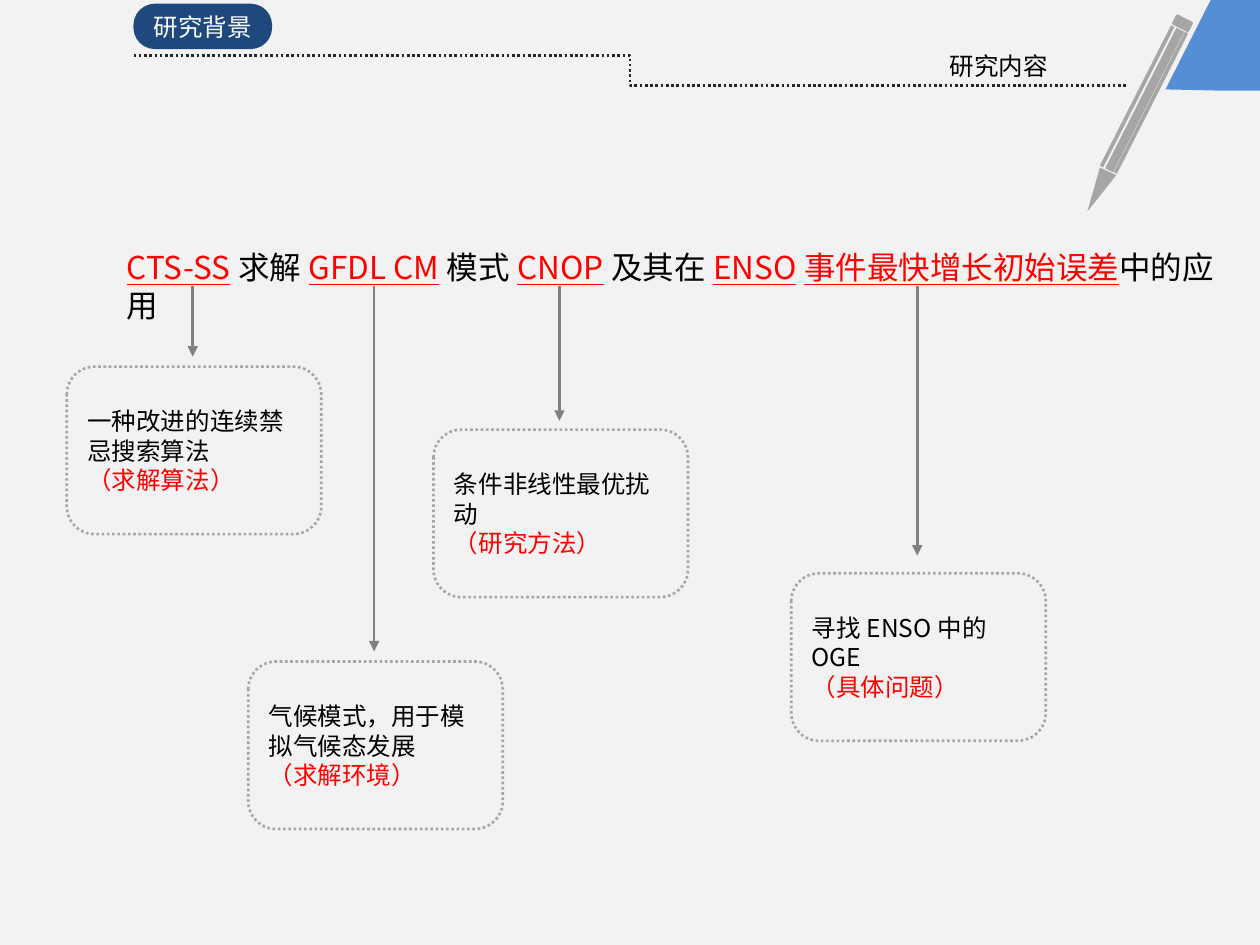
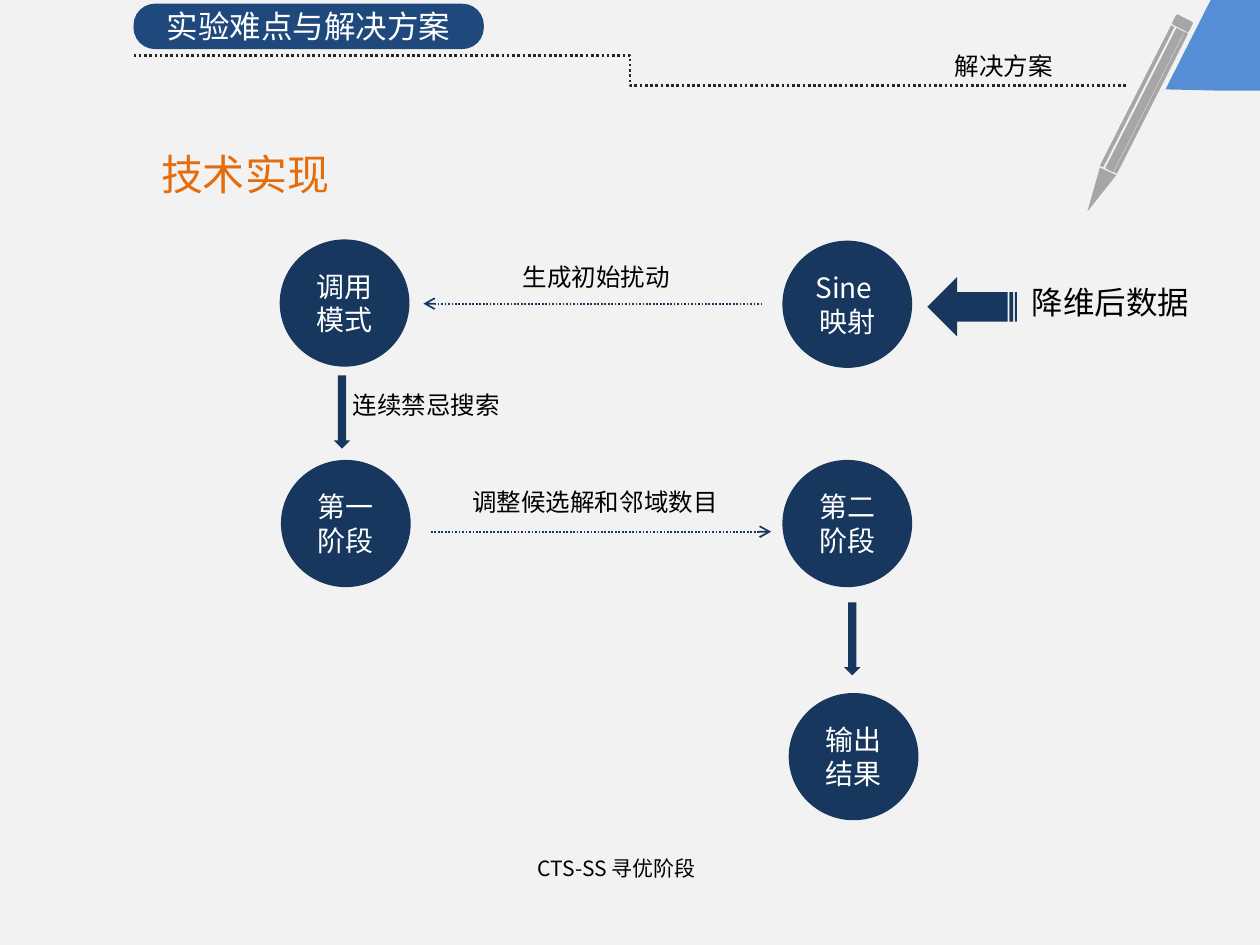
from lxml import etree
from pptx import Presentation
from pptx import util as u
from pptx.dml.color import RGBColor
from pptx.enum import dml, shapes, text
from pptx.oxml.ns import qn

SCALE = 9144  # EMU in one px, 100 px to the inch
FONT = "Noto Sans CJK SC"
PAPER, BLACK, WHITE, RED = "F2F2F2", "000000", "FFFFFF", "FF0000"
BLUE, NAVY, SKY, ORANGE = "1F497D", "17375E", "558ED5", "E46C0A"
INK, GREY, PEN = "262626", "808080", "A6A6A6"
PEN_ANGLE = 26.9
SHAPE, ALIGN, ANCHOR = shapes.MSO_SHAPE, text.PP_ALIGN, text.MSO_ANCHOR


def px(length):
    return u.Emu(int(length * SCALE))


def color(code):
    return RGBColor.from_string(code)


def add_span(para, words, size=14, fill=BLACK, underline=False):
    span = para.add_run()
    span.text = words
    font = span.font
    font.size = u.Pt(size)
    font.name = FONT
    font.color.rgb = color(fill)
    if underline:
        font.underline = True
    east_asian = etree.SubElement(span._r.get_or_add_rPr(), qn("a:ea"))
    east_asian.set("typeface", FONT)


class Painter:
    """Holds the deck and the current page, and draws in the shared style."""

    def __init__(self):
        self.deck = Presentation()
        self.deck.slide_width = px(1000)
        self.deck.slide_height = px(750)
        self.page = None

    def new_page(self, section, topic, pill_width, pill_size, topic_left, paper_left):
        self.page = self.deck.slides.add_slide(self.deck.slide_layouts[6])
        self.shape(SHAPE.RECTANGLE, paper_left, -3, 1005, 762, PAPER)
        self.line((106, 44), (894, 68), INK, 1.5, dotted=True,
                  kind=shapes.MSO_CONNECTOR.ELBOW)
        pill = self.shape(SHAPE.ROUNDED_RECTANGLE, 106, 3, pill_width, 36, BLUE)
        pill.adjustments[0] = 0.47
        self.fill_text(pill, [[(section, dict(size=pill_size, fill=WHITE))]], ALIGN.CENTER)
        self.label(topic, topic_left, 36, 99, 34, wrap=False)
        self.pencil()

    def pencil(self):
        for left, top, width in ((905, 17, 7), (901, 14, 3), (912, 19, 3)):
            self.shape(SHAPE.RECTANGLE, left, top, width, 125, PEN).rotation = PEN_ANGLE
        eraser = self.shape(SHAPE.ROUNDED_RECTANGLE, 931, 14, 15, 9, PEN)
        eraser.rotation = PEN_ANGLE
        self.outline([(873, 133), (863, 168), (886, 139)], PEN)
        self.outline([(968, -14), (925, 71), (970, 72), (1012, 72), (1007, -15)], SKY)

    def finish(self, shape, fill=None, edge=None):
        shape.shadow.inherit = False
        if fill:
            shape.fill.solid()
            shape.fill.fore_color.rgb = color(fill)
        else:
            shape.fill.background()
        if edge:
            shape.line.color.rgb = color(edge)
            shape.line.width = u.Pt(1.5)
            shape.line.dash_style = dml.MSO_LINE.ROUND_DOT
        else:
            shape.line.fill.background()
        return shape

    def shape(self, kind, left, top, width, height, fill=None, edge=None):
        shape = self.page.shapes.add_shape(kind, px(left), px(top), px(width), px(height))
        return self.finish(shape, fill, edge)

    def outline(self, points, fill):
        builder = self.page.shapes.build_freeform(*points[0], scale=SCALE)
        builder.add_line_segments(points[1:], close=True)
        return self.finish(builder.convert_to_shape(), fill)

    def line(self, start, end, stroke, width, dotted=False, head=None,
             kind=shapes.MSO_CONNECTOR.STRAIGHT):
        line = self.page.shapes.add_connector(kind, *map(px, start + end))
        line.line.color.rgb = color(stroke)
        line.line.width = u.Pt(width)
        if dotted:
            line.line.dash_style = dml.MSO_LINE.ROUND_DOT
        properties = line._element.spPr
        if head:
            etree.SubElement(properties.find(qn("a:ln")), qn("a:tailEnd")).set("type", head)
        etree.SubElement(properties, qn("a:effectLst"))

    def fill_text(self, box, paragraphs, align=ALIGN.LEFT, anchor=ANCHOR.MIDDLE, wrap=True):
        frame = box.text_frame
        frame.word_wrap = wrap
        frame.vertical_anchor = anchor
        for index, spans in enumerate(paragraphs):
            para = frame.add_paragraph() if index else frame.paragraphs[0]
            para.alignment = align
            for words, style in spans:
                add_span(para, words, **style)

    def text_box(self, spans, left, top, width, height, **layout):
        box = self.page.shapes.add_textbox(px(left), px(top), px(width), px(height))
        self.fill_text(box, [spans], **{"anchor": ANCHOR.TOP, **layout})

    def label(self, words, left, top, width, height, size=14, fill=BLACK, **layout):
        self.text_box([(words, dict(size=size, fill=fill))],
                      left, top, width, height, **layout)

    def card(self, left, top, words, role):
        card = self.shape(SHAPE.ROUNDED_RECTANGLE, left, top, 202, 133, edge=PEN)
        self.fill_text(card, [[(words, {})], [(role, dict(fill=RED))]])

    def circle(self, left, top, words):
        circle = self.shape(SHAPE.OVAL, left, top, 103, 101, NAVY)
        self.fill_text(circle, [[(words, dict(size=16, fill=WHITE))]], ALIGN.CENTER)


def research_page(painter):
    painter.new_page("研究背景", "研究内容", 110, 14, 744, -2)

    # Headline with its key terms underlined
    key = dict(size=18, fill=RED, underline=True)
    plain = dict(size=18)
    painter.text_box([
        ("CTS-SS", key), ("求解", plain), ("GFDL CM", key), ("模式", plain),
        ("CNOP", key), ("及其在", plain), ("ENSO事件最快增长初始误差", key),
        ("中的应用", plain),
    ], 91, 192, 890, 40)

    # Each term's explanation: card left, card top, arrow end
    for left, top, arrow_end, words, role in (
        (53, 291, 283, "一种改进的连续禁忌搜索算法", "（求解算法）"),
        (197, 525, 517, "气候模式，用于模拟气候态发展", "（求解环境）"),
        (344, 341, 334, "条件非线性最优扰动", "（研究方法）"),
        (628, 455, 441, "寻找ENSO中的OGE", "（具体问题）"),
    ):
        painter.line((left + 100, 227), (left + 100, arrow_end), GREY, 1.5,
                     head="triangle")
        painter.card(left, top, words, role)


def solution_page(painter):
    painter.new_page("实验难点与解决方案", "解决方案", 278, 18, 748, -4)
    painter.label("技术实现", 106, 114, 165, 47, size=24, fill=ORANGE,
                  align=ALIGN.RIGHT, anchor=ANCHOR.MIDDLE, wrap=False)

    # Steps
    for left, top, words in (
        (222, 190, "调用模式"), (621, 191, "Sine映射"), (621, 365, "第二阶段"),
        (223, 365, "第一阶段"), (626, 550, "输出结果"),
    ):
        painter.circle(left, top, words)

    # Arrows between the steps
    for start, end in (((342, 422), (612, 422)), ((605, 241), (336, 241))):
        painter.line(start, end, NAVY, 1, dotted=True, head="arrow")
    for left, top in ((265, 298), (670, 478)):
        painter.shape(SHAPE.DOWN_ARROW, left, top, 13, 58, NAVY)
    painter.shape(SHAPE.STRIPED_RIGHT_ARROW, 736, 220, 71, 47, NAVY).rotation = 180

    # Labels
    painter.label("降维后数据", 809, 220, 164, 40, size=18)
    painter.label("调整候选解和邻域数目", 365, 382, 224, 34)
    painter.label("CTS-SS寻优阶段", 417, 674, 163, 30, size=12)
    painter.label("生成初始扰动", 405, 203, 143, 34)
    painter.label("连续禁忌搜索", 270, 305, 147, 34)


def main():
    painter = Painter()
    research_page(painter)
    solution_page(painter)
    painter.deck.save("out.pptx")


if __name__ == "__main__":
    main()
